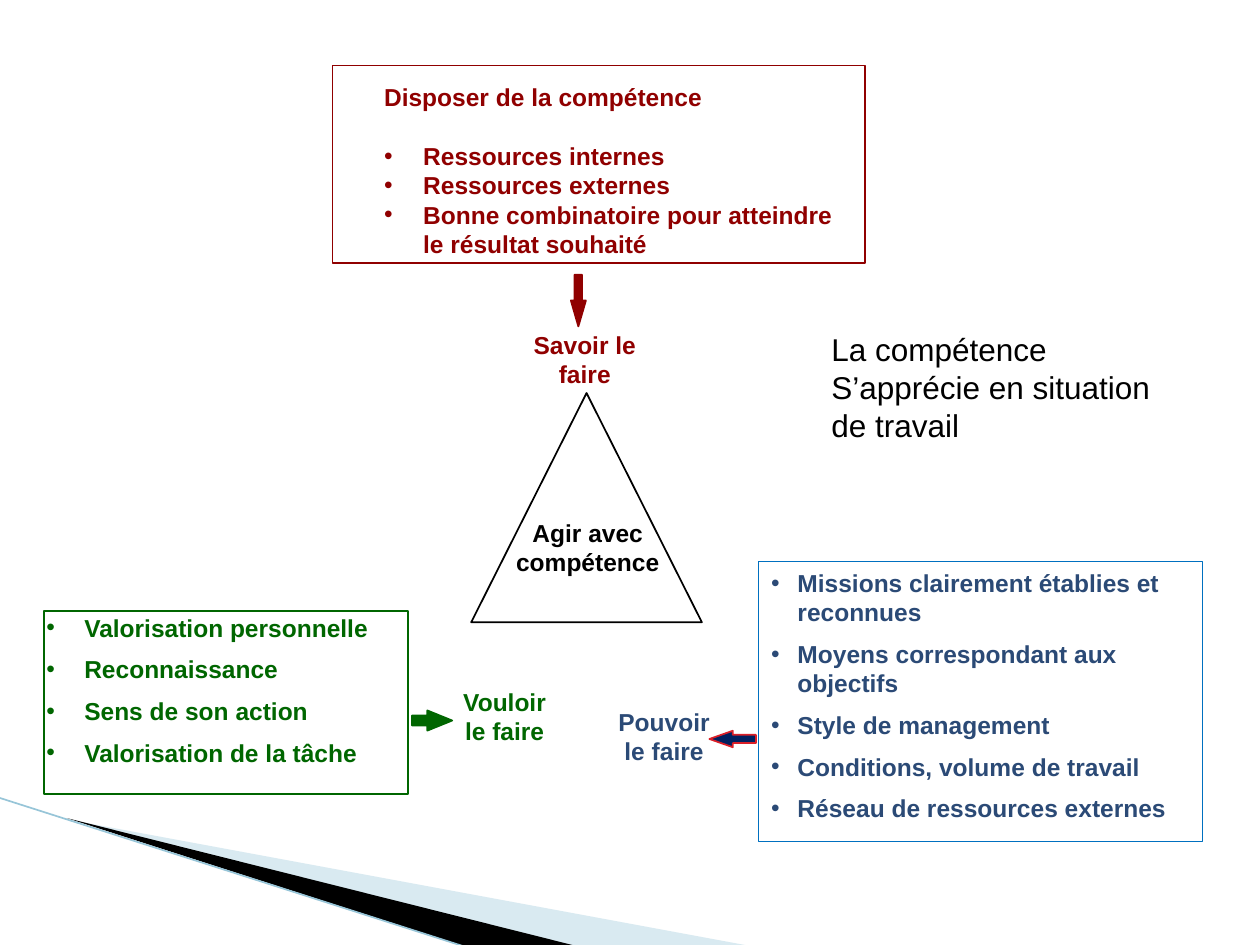
"""Build the slide on acting with competence."""
from dataclasses import dataclass
from typing import Optional

from lxml.etree import SubElement
from pptx import Presentation
from pptx.dml.color import RGBColor
from pptx.enum.shapes import MSO_CONNECTOR, MSO_SHAPE
from pptx.enum.text import MSO_ANCHOR, PP_ALIGN
from pptx.oxml.ns import qn
from pptx.util import Pt

RED, GREEN, BLUE, BLACK = "900000", "006600", "2B4A76", "000000"


@dataclass
class Box:
    """A place on the slide, in points."""
    left: float
    top: float
    width: float
    height: float

    def span(self) -> tuple:
        """Return the four lengths."""
        return Pt(self.left), Pt(self.top), Pt(self.width), Pt(self.height)


@dataclass
class Figure:
    """A preset shape with its outline and fill."""
    kind: MSO_SHAPE
    box: Box
    line: str
    fill: Optional[str] = None
    weight: float = 1
    head: Optional[float] = None


@dataclass
class Label:
    """A short centred text."""
    text: str
    box: Box
    ink: str


@dataclass
class Wedge:
    """A filled outline at the foot of the slide."""
    points: list
    fill: str
    alpha: int = 100


FRAMES = [
    Figure(MSO_SHAPE.RECTANGLE, Box(190, 37.5, 304.5, 113), RED),
    Figure(MSO_SHAPE.RECTANGLE, Box(25.2, 349.2, 208, 104.4), GREEN),
    Figure(MSO_SHAPE.ISOSCELES_TRIANGLE, Box(269.3, 224.6, 131.8, 131), BLACK),
    Figure(MSO_SHAPE.DOWN_ARROW, Box(326.2, 157, 8.6, 29.5), RED, RED, head=1.72),
    Figure(MSO_SHAPE.RIGHT_ARROW, Box(235.4, 406, 23, 11.5), GREEN, GREEN, head=1.23),
    Figure(MSO_SHAPE.LEFT_ARROW, Box(405.4, 417.6, 26.6, 9.4), "DA1F28", "002060", head=1.42),
]
MEANS = Figure(MSO_SHAPE.RECTANGLE, Box(433.5, 321, 253.5, 160), "0070C0", weight=0.75)

LABELS = [
    Label("Savoir le faire", Box(297.4, 185, 73.5, 41), RED),
    Label("Agir avec compétence", Box(280.8, 292.3, 110.2, 41), BLACK),
    Label("Vouloir le faire", Box(252, 388.8, 72.7, 41), GREEN),
    Label("Pouvoir le faire", Box(342.7, 400.3, 73.5, 41), BLUE),
]

WEDGES = [
    Wedge([(39.6, 468.5), (428.4, 540.5), (328.3, 540.5)], "A0CBDC", 40),
    Wedge([(38.2, 467.5), (329, 540.5), (267.8, 541.5)], BLACK),
]

SKILL = ["Disposer de la compétence", "Ressources internes", "Ressources externes",
         "Bonne combinatoire pour atteindre le résultat souhaité"]
WILL = ["Valorisation personnelle", "Reconnaissance", "Sens de son action",
        "Valorisation de la tâche"]
POWER = ["Missions clairement établies et reconnues", "Moyens correspondant aux objectifs",
         "Style de management", "Conditions, volume de travail",
         "Réseau de ressources externes"]
MOTTO = ["La compétence", "S’apprécie en situation", "de travail"]


def tint(code: str) -> RGBColor:
    """Turn a hex string into a colour."""
    return RGBColor.from_string(code)


def bullet(para, indent: float, size: int = 100) -> None:
    """Give a paragraph a hanging bullet."""
    props = para._p.get_or_add_pPr()
    props.set("marL", str(Pt(indent)))
    props.set("indent", str(-Pt(indent)))
    if size != 100:
        SubElement(props, qn("a:buSzPct")).set("val", str(size * 1000))
    SubElement(props, qn("a:buFont")).set("typeface", "Arial")
    SubElement(props, qn("a:buChar")).set("char", "•")


def write(frame, lines: list, ink: str, size: int = 14, bold: bool = True,
          align=PP_ALIGN.LEFT, wrap: bool = True) -> list:
    """Fill a text frame and return its paragraphs."""
    frame.text = "\n".join(lines)
    frame.word_wrap = wrap
    frame.vertical_anchor = MSO_ANCHOR.TOP
    for para in frame.paragraphs:
        para.alignment = align
        for run in para.runs:
            run.font.name = "Arial"
            run.font.size = Pt(size)
            run.font.bold = bold
            run.font.color.rgb = tint(ink)
    return list(frame.paragraphs)


def listing(paras: list, indent: float, gap: float) -> None:
    """Set bullets and even gaps on a list."""
    for rank, para in enumerate(paras):
        bullet(para, indent)
        if rank:
            para.space_before = Pt(gap)


def draw(shapes, item: Figure):
    """Draw a preset shape."""
    shape = shapes.add_shape(item.kind, *item.box.span())
    shape.shadow.inherit = False
    shape.line.color.rgb = tint(item.line)
    shape.line.width = Pt(item.weight)
    if item.fill:
        shape.fill.solid()
        shape.fill.fore_color.rgb = tint(item.fill)
    else:
        shape.fill.background()
    if item.head:
        shape.adjustments[1] = item.head
    return shape


def slant(shapes, item: Wedge) -> None:
    """Draw a wedge."""
    dots = [(Pt(x), Pt(y)) for x, y in item.points]
    pen = shapes.build_freeform(*dots[0])
    pen.add_line_segments(dots[1:], close=True)
    shape = pen.convert_to_shape()
    shape.shadow.inherit = False
    shape.line.fill.background()
    shape.fill.solid()
    shape.fill.fore_color.rgb = tint(item.fill)
    if item.alpha < 100:
        color = shape.fill._xPr.find(qn("a:solidFill"))[0]
        SubElement(color, qn("a:alpha")).set("val", str(item.alpha * 1000))


def edge(shapes) -> None:
    """Draw the thin line along the wedges."""
    line = shapes.add_connector(MSO_CONNECTOR.STRAIGHT, Pt(-0.7), Pt(455.8), Pt(267), Pt(541.4))
    line.line.color.rgb = tint("97C5D8")
    line.line.width = Pt(0.95)
    SubElement(line._element.spPr, qn("a:effectLst"))


def main() -> None:
    """Build and save the slide."""
    deck = Presentation()
    deck.slide_width, deck.slide_height = Pt(720), Pt(540)
    shapes = deck.slides.add_slide(deck.slide_layouts[6]).shapes
    for wedge in WEDGES:
        slant(shapes, wedge)
    edge(shapes)
    for item in FRAMES:
        draw(shapes, item)

    skill = shapes.add_textbox(*Box(212.4, 43.2, 279.4, 124.5).span())
    paras = write(skill.text_frame, SKILL, RED)
    listing(paras[1:], 22.3, 0)
    paras[1].space_before = Pt(17)

    will = shapes.add_textbox(*Box(19.5, 346.5, 213.8, 105).span())
    listing(write(will.text_frame, WILL, GREEN), 21.6, 7)

    power = draw(shapes, MEANS)
    listing(write(power.text_frame, POWER, BLUE), 15.1, 7)

    for label in LABELS:
        area = shapes.add_textbox(*label.box.span())
        write(area.text_frame, [label.text], label.ink, align=PP_ALIGN.CENTER)

    motto = shapes.add_textbox(*Box(468, 185, 203, 72.7).span())
    write(motto.text_frame, MOTTO, BLACK, 18, False, wrap=False)
    deck.save("out.pptx")


if __name__ == "__main__":
    main()
